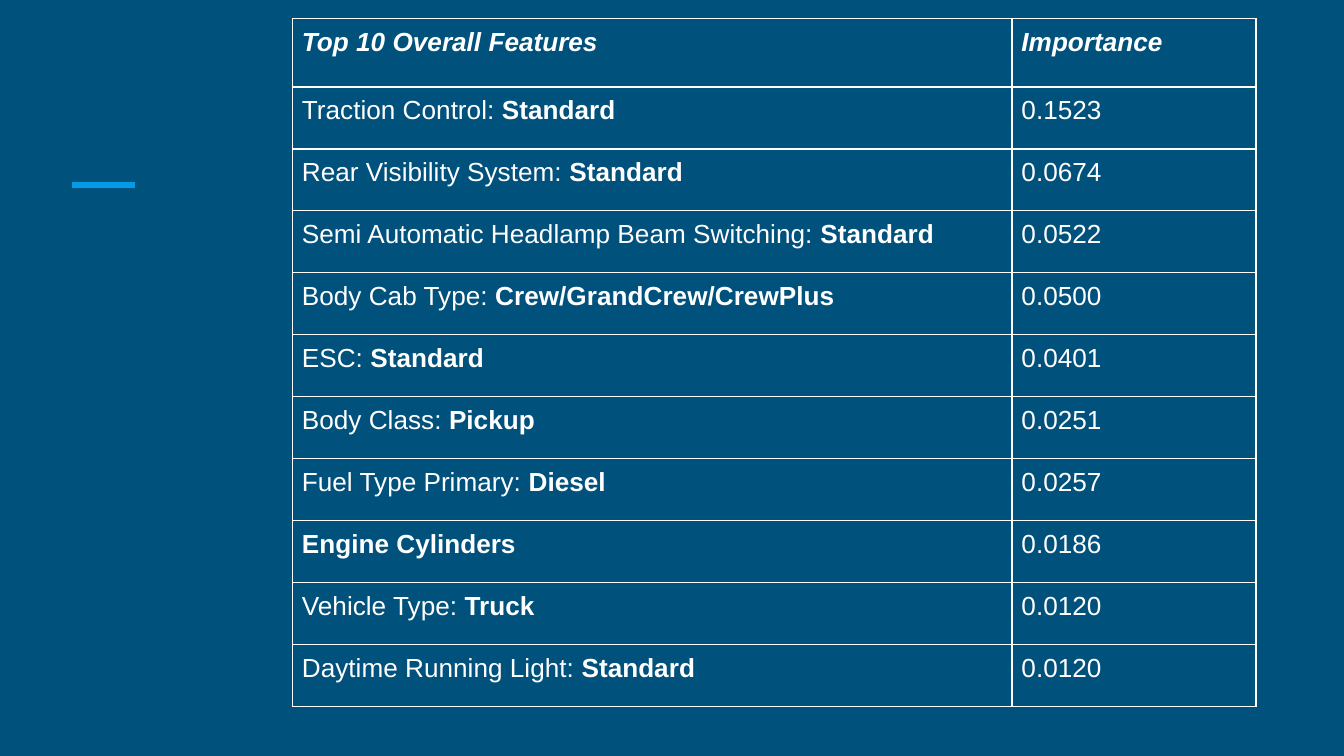
from dataclasses import dataclass

from lxml.etree import SubElement
from pptx import Presentation
from pptx.dml.color import RGBColor as RGB
from pptx.enum.shapes import MSO_CONNECTOR as CONNECTOR
from pptx.oxml.ns import qn
from pptx.util import Pt


@dataclass(frozen=True)
class Theme:
    """Colours and type sizes of the slide."""
    back: RGB = RGB(0x00, 0x51, 0x7C)
    accent: RGB = RGB(0x03, 0x9B, 0xE5)
    text: RGB = RGB(0xFF, 0xFF, 0xFF)
    font: str = "Arial"
    size: int = 14
    border: int = 1
    rule: int = 3


THEME = Theme()
HEADER = ("Top 10 Overall Features", "Importance")
FEATURES = [
    ("Traction Control: ", "Standard", "0.1523"),
    ("Rear Visibility System: ", "Standard", "0.0674"),
    ("Semi Automatic Headlamp Beam Switching: ", "Standard", "0.0522"),
    ("Body Cab Type: ", "Crew/GrandCrew/CrewPlus", "0.0500"),
    ("ESC: ", "Standard", "0.0401"),
    ("Body Class: ", "Pickup", "0.0251"),
    ("Fuel Type Primary: ", "Diesel", "0.0257"),
    ("", "Engine Cylinders", "0.0186"),
    ("Vehicle Type: ", "Truck", "0.0120"),
    ("Daytime Running Light: ", "Standard", "0.0120"),
]


def add_text(p, text, bold=False, italic=False):
    """Append a formatted run to a paragraph."""
    r = p.add_run()
    r.text = text
    r.font.name, r.font.size = THEME.font, Pt(THEME.size)
    r.font.bold, r.font.italic = bold, italic
    r.font.color.rgb = THEME.text


def style_cell(cell):
    """Set a cell's margins, borders and empty fill."""
    cell.margin_left = cell.margin_right = Pt(5)
    cell.margin_top = cell.margin_bottom = Pt(5)
    props = cell._tc.get_or_add_tcPr()
    for side in ("a:lnL", "a:lnR", "a:lnT", "a:lnB"):
        ln = SubElement(props, qn(side), w=str(Pt(THEME.border)))
        fill = SubElement(ln, qn("a:solidFill"))
        SubElement(fill, qn("a:srgbClr"), val=str(THEME.text))
    cell.fill.background()


def add_feature_table(slide, left, top, width, height):
    """Place the ranked feature table in the given box."""
    frame = slide.shapes.add_table(len(FEATURES) + 1, 2, Pt(left), Pt(top),
                                   Pt(width), Pt(height))
    table = frame.table
    table.first_row = table.horz_banding = False
    value_width, header_height = 130.5, 36.5
    table.columns[0].width = Pt(width - value_width)
    table.columns[1].width = Pt(value_width)
    row_height = (height - header_height) / len(FEATURES)
    for i, row in enumerate(table.rows):
        row.height = Pt(row_height if i else header_height)
    for cell in table.iter_cells():
        style_cell(cell)

    for col, title in enumerate(HEADER):
        p = table.cell(0, col).text_frame.paragraphs[0]
        add_text(p, title, bold=True, italic=True)
    for i, (label, setting, importance) in enumerate(FEATURES, 1):
        p = table.cell(i, 0).text_frame.paragraphs[0]
        if label:
            add_text(p, label)
        add_text(p, setting, bold=True)
        add_text(table.cell(i, 1).text_frame.paragraphs[0], importance)


def add_accent_rule(slide, left, top, width):
    """Draw the short accent line from the given point."""
    line = slide.shapes.add_connector(CONNECTOR.STRAIGHT, Pt(left), Pt(top),
                                      Pt(left + width), Pt(top))
    line.line.color.rgb = THEME.accent
    line.line.width = Pt(THEME.rule)
    SubElement(line._element.spPr, qn("a:effectLst"))


def main():
    """Build and save the slide."""
    prs = Presentation()
    prs.slide_width, prs.slide_height = Pt(720), Pt(405)
    slide = prs.slides.add_slide(prs.slide_layouts[6])
    fill = slide.background.fill
    fill.solid()
    fill.fore_color.rgb = THEME.back
    add_accent_rule(slide, 38.75, 99.25, 33.5)
    add_feature_table(slide, 156.75, 10, 516, 368.5)
    prs.save("out.pptx")


if __name__ == "__main__":
    main()
